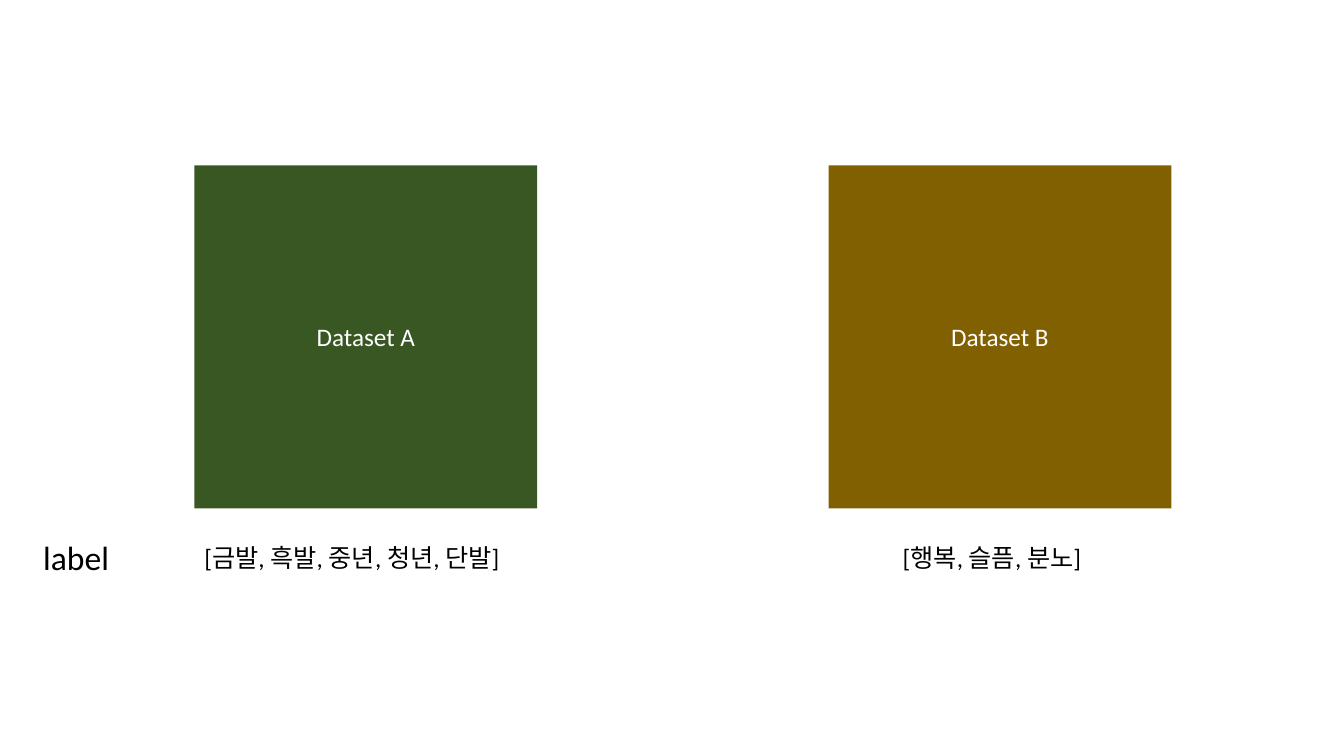
from pptx import Presentation
from pptx.dml.color import RGBColor
from pptx.enum.shapes import MSO_SHAPE
from pptx.enum.text import MSO_ANCHOR, MSO_AUTO_SIZE, PP_ALIGN
from pptx.util import Cm, Pt

RECT = MSO_SHAPE.RECTANGLE
MIDDLE, TOP = MSO_ANCHOR.MIDDLE, MSO_ANCHOR.TOP
CENTER, LEFT = PP_ALIGN.CENTER, PP_ALIGN.LEFT
GROW = MSO_AUTO_SIZE.SHAPE_TO_FIT_TEXT

COLORS = {"green": "385723", "gold": "806000", "white": "FFFFFF", "black": "000000"}
SQUARE_TOP, SQUARE_SIDE = 4.17, 8.64
VALUES_TOP = 13.54


class SlideBuilder:
    font = "Calibri"

    def __init__(self, prs):
        self.s = prs.slides.add_slide(prs.slide_layouts[6])

    def fill_text(self, sp, text, size, color, align, frame):
        tf = sp.text_frame
        for name, value in frame.items():
            setattr(tf, name, value)
        p = tf.paragraphs[0]
        p.alignment = align
        r = p.add_run()
        r.text = text
        for name, value in {"name": self.font, "size": Pt(size)}.items():
            setattr(r.font, name, value)
        r.font.color.rgb = RGBColor.from_string(COLORS[color])

    def square(self, text, left, color):
        sp = self.s.shapes.add_shape(RECT, Cm(left), Cm(SQUARE_TOP), Cm(SQUARE_SIDE), Cm(SQUARE_SIDE))
        sp.shadow.inherit = False
        sp.fill.solid()
        sp.fill.fore_color.rgb = RGBColor.from_string(COLORS[color])
        sp.line.fill.background()
        self.fill_text(sp, text, 18, "white", CENTER, {"vertical_anchor": MIDDLE, "word_wrap": True})

    def text(self, text, left, top, width, height, size=18):
        sp = self.s.shapes.add_textbox(Cm(left), Cm(top), Cm(width), Cm(height))
        frame = {"vertical_anchor": TOP, "word_wrap": True, "auto_size": GROW}
        self.fill_text(sp, text, size, "black", LEFT, frame)


def main():
    prs = Presentation()
    prs.slide_width, prs.slide_height = Cm(33.87), Cm(19.05)
    slide = SlideBuilder(prs)
    datasets = [
        ("Dataset A", 4.9, "green", "[금발, 흑발, 중년, 청년, 단발]", 4.9, 8.61),
        ("Dataset B", 20.88, "gold", "[행복, 슬픔, 분노]", 22.5, 5.36),
    ]
    for name, left, color, values, values_left, values_width in datasets:
        slide.square(name, left, color)
        slide.text(values, values_left, VALUES_TOP, values_width, 1.03)
    slide.text("label", 0.84, 13.41, 2.25, 1.28, size=24)
    prs.save("out.pptx")


if __name__ == "__main__":
    main()
